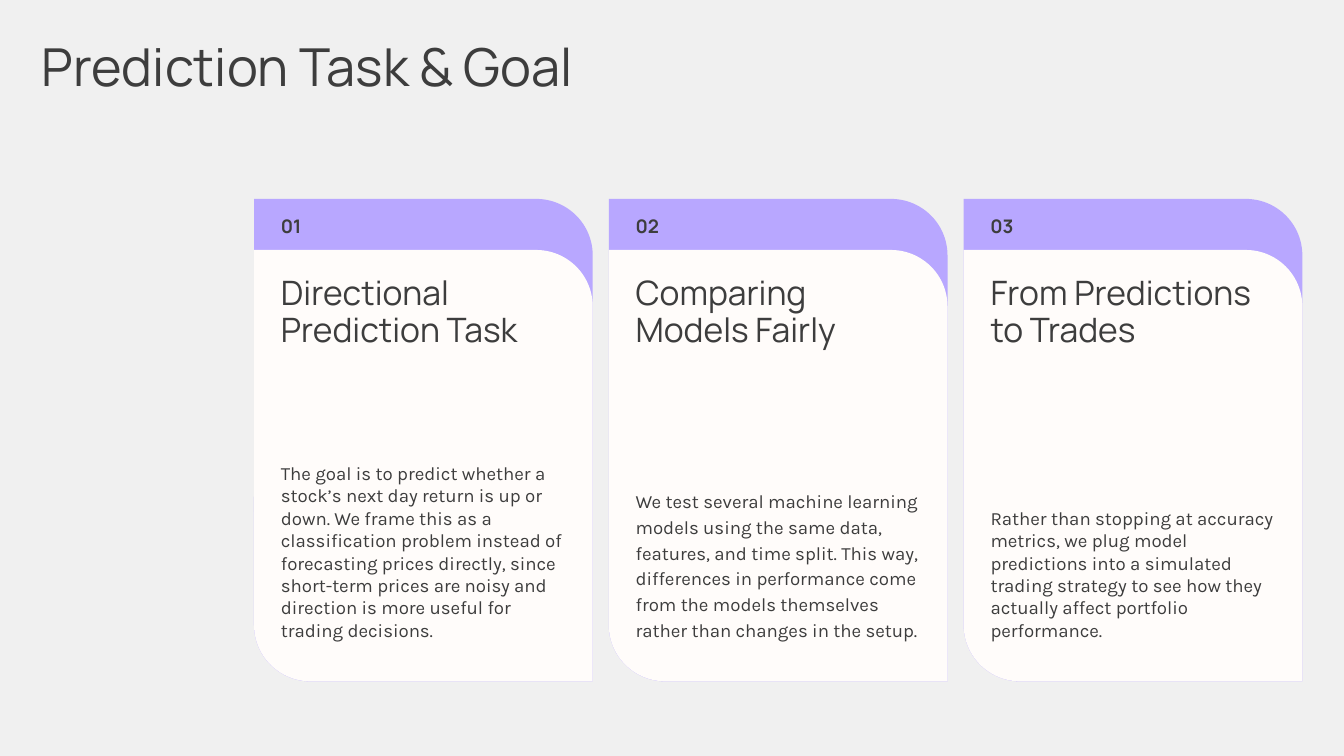
from pptx import Presentation
from pptx.dml.color import RGBColor
from pptx.enum.shapes import MSO_SHAPE
from pptx.enum.text import MSO_ANCHOR, PP_ALIGN
from pptx.util import Inches, Pt

DIAGONAL = MSO_SHAPE.ROUND_2_DIAG_RECTANGLE
TOP, BOTTOM = MSO_ANCHOR.TOP, MSO_ANCHOR.BOTTOM
LEFT = PP_ALIGN.LEFT

BACKGROUND = RGBColor(0xF0, 0xF0, 0xF0)
PURPLE = RGBColor(0xB8, 0xA7, 0xFF)
CREAM = RGBColor(0xFF, 0xFC, 0xFA)
INK = RGBColor(0x3D, 0x3D, 0x3D)
HEADING_FONT, BODY_FONT = "Manrope", "Karla"

SLIDE_WIDTH = 10
SLIDE_HEIGHT = SLIDE_WIDTH * 9 / 16
MARGIN = 0.31
CARD_WIDTH, CARD_GAP = 2.52, 0.12
CARD_TOP, CARD_BOTTOM = 1.48, 5.07
PANEL_TOP, BODY_TOP = 1.86, 2.78
COLUMNS = 3
FIRST_LEFT = SLIDE_WIDTH - MARGIN - COLUMNS * CARD_WIDTH - (COLUMNS - 1) * CARD_GAP
PADDING = 0.2

CARDS = [
    ("01", "Directional Prediction Task",
     "The goal is to predict whether a stock’s next day return is up or down. "
     "We frame this as a classification problem instead of forecasting prices "
     "directly, since short-term prices are noisy and direction is more useful "
     "for trading decisions.", {}),
    ("02", "Comparing Models Fairly",
     "We test several machine learning models using the same data, features, "
     "and time split. This way, differences in performance come from the models "
     "themselves rather than changes in the setup.",
     {"line_spacing": 1.15, "space": 12}),
    ("03", "From Predictions to Trades",
     "Rather than stopping at accuracy metrics, we plug model predictions into "
     "a simulated trading strategy to see how they actually affect portfolio "
     "performance.", {}),
]


def add_panel(slide, left, top, color):
    """Add a card layer rounded at its top right and bottom left corners."""
    shape = slide.shapes.add_shape(DIAGONAL, Inches(left), Inches(top),
                                   Inches(CARD_WIDTH), Inches(CARD_BOTTOM - top))
    shape.adjustments[0] = 0
    shape.adjustments[1] = 0.167
    shape.shadow.inherit = False
    shape.fill.solid()
    shape.fill.fore_color.rgb = color
    shape.line.fill.background()


def add_text(slide, box, text, size, font=HEADING_FONT, bold=False, insets=(0, 0, 0, 0),
             anchor=TOP, line_spacing=1.0, space=0):
    """Add a wrapped text box holding one paragraph."""
    shape = slide.shapes.add_textbox(*map(Inches, box))
    frame = shape.text_frame
    frame.word_wrap = True
    frame.vertical_anchor = anchor
    (frame.margin_left, frame.margin_top,
     frame.margin_right, frame.margin_bottom) = map(Inches, insets)
    paragraph = frame.paragraphs[0]
    paragraph.alignment = LEFT
    paragraph.line_spacing = line_spacing
    paragraph.space_before = paragraph.space_after = Pt(space)
    run = paragraph.add_run()
    run.text = text
    run.font.name = font
    run.font.size = Pt(size)
    run.font.bold = bold
    run.font.color.rgb = INK


def add_card(slide, column, number, heading, body, body_spacing):
    """Add one numbered card in the given column."""
    left = FIRST_LEFT + column * (CARD_WIDTH + CARD_GAP)
    add_panel(slide, left, CARD_TOP, PURPLE)
    add_panel(slide, left, PANEL_TOP, CREAM)
    add_text(slide, (left, 1.6, 1.47, 0.17), number, 10, bold=True,
             insets=(PADDING, 0, 0.1, 0))
    add_text(slide, (left, PANEL_TOP + PADDING, CARD_WIDTH, 0.55), heading, 18,
             insets=(PADDING, 0, PADDING, 0), line_spacing=0.9)
    add_text(slide, (left, BODY_TOP, CARD_WIDTH, CARD_BOTTOM - BODY_TOP), body, 10,
             BODY_FONT, insets=(PADDING, 0, PADDING, 0.3), anchor=BOTTOM, **body_spacing)


def main():
    """Build the slide and save it."""
    presentation = Presentation()
    presentation.slide_width = Inches(SLIDE_WIDTH)
    presentation.slide_height = Inches(SLIDE_HEIGHT)
    slide = presentation.slides.add_slide(presentation.slide_layouts[6])
    slide.background.fill.solid()
    slide.background.fill.fore_color.rgb = BACKGROUND
    add_text(slide, (MARGIN, MARGIN, SLIDE_WIDTH - 2 * MARGIN, 0.42),
             "Prediction Task & Goal", 28, line_spacing=0.9)
    for column, card in enumerate(CARDS):
        add_card(slide, column, *card)
    presentation.save("out.pptx")


if __name__ == "__main__":
    main()
